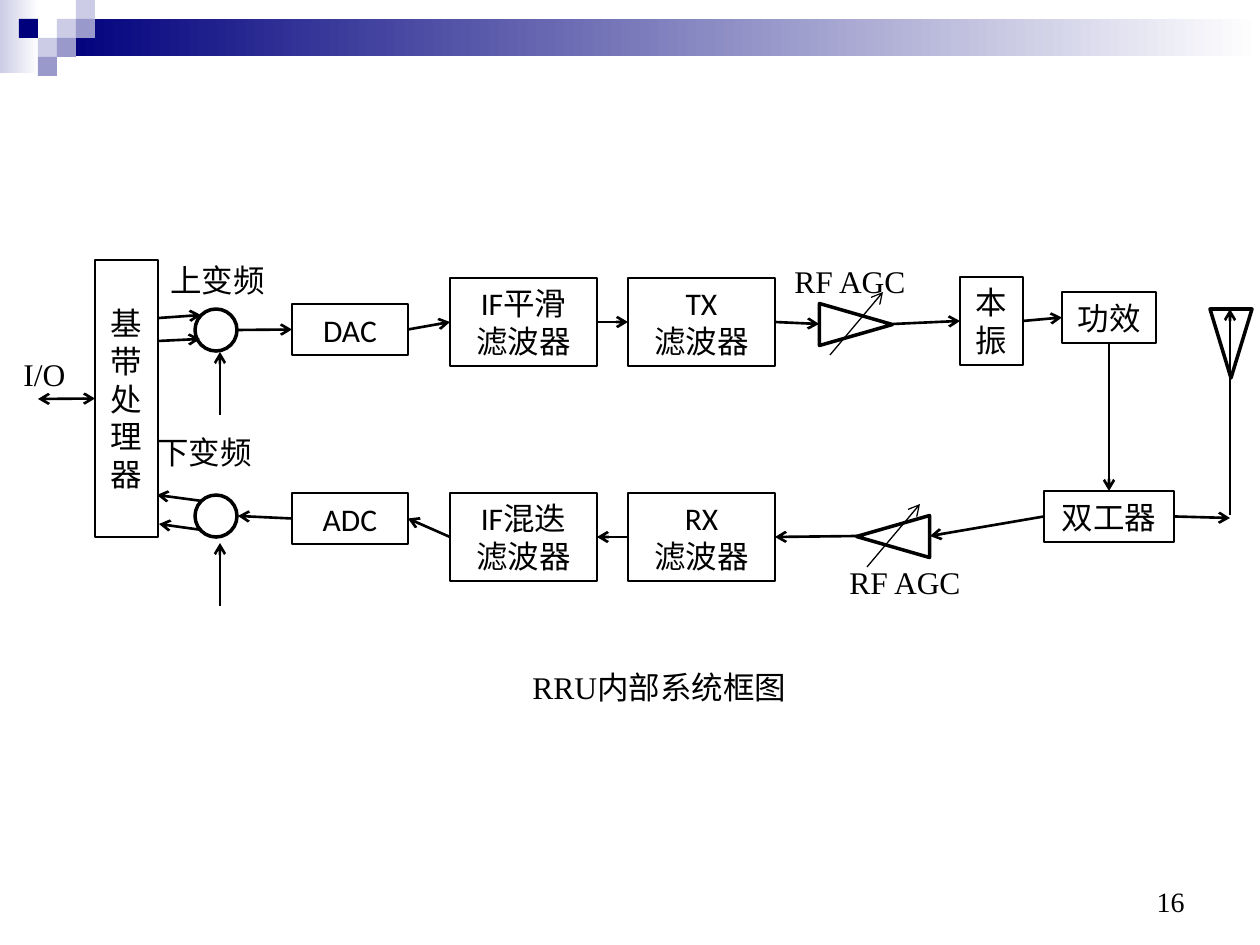
from lxml import etree
from pptx import Presentation
from pptx.dml.color import RGBColor
from pptx.enum.shapes import MSO_CONNECTOR, MSO_SHAPE
from pptx.enum.text import MSO_ANCHOR, PP_ALIGN
from pptx.oxml.ns import qn
from pptx.util import Pt

EMU_PER_PX = 914400 / 126
RECT = MSO_SHAPE.RECTANGLE
TRIANGLE = MSO_SHAPE.FLOWCHART_MERGE
CIRCLE = MSO_SHAPE.FLOWCHART_CONNECTOR
STRAIGHT = MSO_CONNECTOR.STRAIGHT
LEFT, CENTER, RIGHT = PP_ALIGN.LEFT, PP_ALIGN.CENTER, PP_ALIGN.RIGHT
TOP, MIDDLE, BOTTOM = MSO_ANCHOR.TOP, MSO_ANCHOR.MIDDLE, MSO_ANCHOR.BOTTOM
SITE_TOP, SITE_LEFT, SITE_BOTTOM, SITE_RIGHT = range(4)

COLORS = {"ink": "000000", "navy": "00007D", "mid": "9999CC",
          "pale": "CCCCE6", "white": "FFFFFF"}
BLOCK_FONT = {"name": "Calibri", "size": Pt(18)}
LABEL_FONT = {"name": "Times New Roman", "size": Pt(18)}
NUMBER_FONT = {"name": "Times New Roman", "size": Pt(16)}


def px(*lengths):
    return [round(length * EMU_PER_PX) for length in lengths]


def color(name):
    return RGBColor.from_string(COLORS[name])


def write(shape, text, font, align, anchor):
    frame = shape.text_frame
    frame.word_wrap = True
    frame.vertical_anchor = anchor
    frame.text = text
    for paragraph in frame.paragraphs:
        paragraph.alignment = align
        for run in paragraph.runs:
            for key, value in font.items():
                setattr(run.font, key, value)
            run.font.color.rgb = color("ink")


def label(slide, box, text, font=LABEL_FONT, align=LEFT, anchor=TOP):
    write(slide.shapes.add_textbox(*px(*box)), text, font, align, anchor)


def outline(slide, kind, box, weight=2, rotation=0):
    shape = slide.shapes.add_shape(kind, *px(*box))
    shape.shadow.inherit = False
    shape.fill.background()
    shape.line.color.rgb = color("ink")
    shape.line.width = Pt(weight)
    shape.rotation = rotation
    return shape


def block(slide, box, text):
    shape = outline(slide, RECT, box, weight=0.75)
    write(shape, text, BLOCK_FONT, CENTER, MIDDLE)
    return shape


def arrow(slide, start, end, weight=1.5, ends=("tailEnd",)):
    """Draw from start to end, each an (x, y) point or a (shape, site) pair."""
    points = [(0, 0) if hasattr(target[0], "shape_id") else px(*target)
              for target in (start, end)]
    connector = slide.shapes.add_connector(STRAIGHT, *points[0], *points[1])
    for target, join in ((start, connector.begin_connect),
                         (end, connector.end_connect)):
        if hasattr(target[0], "shape_id"):
            join(*target)
    connector.line.color.rgb = color("ink")
    connector.line.width = Pt(weight)
    properties = connector.line._get_or_add_ln()
    for name in ends:
        etree.SubElement(properties, qn(f"a:{name}"), type="arrow")
    etree.SubElement(connector._element.spPr, qn("a:effectLst"))


def header(slide, left, top):
    cell = 19

    def tile(box, *fills):
        x, y, width, height = box
        shape = slide.shapes.add_shape(RECT, *px(left + x, top + y, width, height))
        shape.shadow.inherit = False
        shape.line.fill.background()
        if len(fills) == 1:
            shape.fill.solid()
            shape.fill.fore_color.rgb = color(fills[0])
            return
        shape.fill.gradient()
        shape.fill.gradient_angle = 0
        for position, (stop, name) in enumerate(zip(shape.fill.gradient_stops, fills)):
            stop.position = position
            stop.color.rgb = color(name)

    tile((0, 0, 39, 73), "pale", "white")
    tile((3 * cell, cell, 1260 - 3 * cell, 2 * cell - 1), "navy", "white")
    for column, row, name in ((3, 1, "pale"), (4, 0, "pale"), (4, 1, "mid"),
                              (2, 2, "pale"), (1, 1, "navy"), (3, 2, "mid"),
                              (2, 3, "mid")):
        tile((column * cell, row * cell, cell, cell), name)


def filter_chain(slide, left, top, names, converter_drop):
    """Place converter, IF filter and RF filter; return the three blocks."""
    boxes = ((0, converter_drop, 116, 51), (158, 0, 147, 88), (336, 0, 147, 88))
    return [block(slide, (left + x, top + y, width, height), name)
            for (x, y, width, height), name in zip(boxes, names)]


def gain_control(slide, center_x, center_y, rotation, label_offset):
    outline(slide, TRIANGLE, (center_x - 21, center_y - 36, 42, 73), rotation=rotation)
    arrow(slide, (center_x - 26, center_y + 31), (center_x + 27, center_y - 32), 0.75)
    x, y = label_offset
    label(slide, (center_x + x, center_y + y, 144, 51), "RF AGC")


def mixer(slide, left, top, name, label_offset, input_gap):
    outline(slide, CIRCLE, (left, top, 42, 42))
    x, y = label_offset
    label(slide, (left + x, top + y, 144, 51), name)
    input_top = top + 42 + input_gap
    arrow(slide, (left + 25, input_top + 63), (left + 25, input_top))


def antenna(slide, left, top):
    outline(slide, TRIANGLE, (left, top, 42, 69))
    arrow(slide, (left + 20, top + 206), (left + 20, top))


def baseband(slide, left, top):
    processor = block(slide, (left, top, 63, 277), "基带处理器")
    label(slide, (left - 84, top + 89, 144, 51), "I/O")
    arrow(slide, (left - 57, top + 139), (processor, SITE_LEFT),
          ends=("headEnd", "tailEnd"))
    for start, end in (((64, 58), (106, 55)), ((63, 81), (105, 79)),
                       ((107, 241), (62, 235)), ((107, 270), (64, 264))):
        arrow(slide, (left + start[0], top + start[1]), (left + end[0], top + end[1]))


def transceiver(slide, left, top):
    baseband(slide, left, top)
    mixer(slide, left + 100, top + 49, "上变频", (-37, -54), 1)
    mixer(slide, left + 100, top + 235, "下变频", (-50, -68), 6)
    dac, smoothing, transmit = filter_chain(
        slide, left + 197, top + 18, ("DAC", "IF平滑\n滤波器", "TX\n滤波器"), 26)
    adc, aliasing, receive = filter_chain(
        slide, left + 197, top + 233, ("ADC", "IF混迭\n滤波器", "RX\n滤波器"), 0)
    gain_control(slide, left + 761, top + 64, 270, (-74, -68))
    gain_control(slide, left + 798, top + 276, 90, (-56, 21))
    oscillator = block(slide, (left + 865, top + 17, 63, 88), "本振")
    amplifier = block(slide, (left + 967, top + 32, 94, 51), "功效")
    duplexer = block(slide, (left + 949, top + 231, 130, 51), "双工器")
    antenna(slide, left + 1115, top + 49)

    for start, end in ((dac, smoothing), (smoothing, transmit), (oscillator, amplifier)):
        arrow(slide, (start, SITE_RIGHT), (end, SITE_LEFT))
    for start, end in ((receive, aliasing), (aliasing, adc)):
        arrow(slide, (start, SITE_LEFT), (end, SITE_RIGHT))
    arrow(slide, (left + 143, top + 70), (dac, SITE_LEFT))
    arrow(slide, (transmit, SITE_RIGHT), (left + 724, top + 64))
    arrow(slide, (left + 798, top + 64), (oscillator, SITE_LEFT))
    arrow(slide, (amplifier, SITE_BOTTOM), (duplexer, SITE_TOP))
    arrow(slide, (duplexer, SITE_LEFT), (left + 835, top + 276))
    arrow(slide, (left + 762, top + 276), (receive, SITE_RIGHT))
    arrow(slide, (adc, SITE_LEFT), (left + 143, top + 256))
    arrow(slide, (duplexer, SITE_RIGHT), (left + 1135, top + 258))


def main():
    deck = Presentation()
    deck.slide_width, deck.slide_height = px(1260, 945)
    slide = deck.slides.add_slide(deck.slide_layouts[6])
    header(slide, 0, 0)
    label(slide, (903, 861, 294, 63), "16", NUMBER_FONT, RIGHT, BOTTOM)
    label(slide, (520, 662, 300, 51), "RRU内部系统框图")
    transceiver(slide, 95, 260)
    deck.save("out.pptx")


if __name__ == "__main__":
    main()
